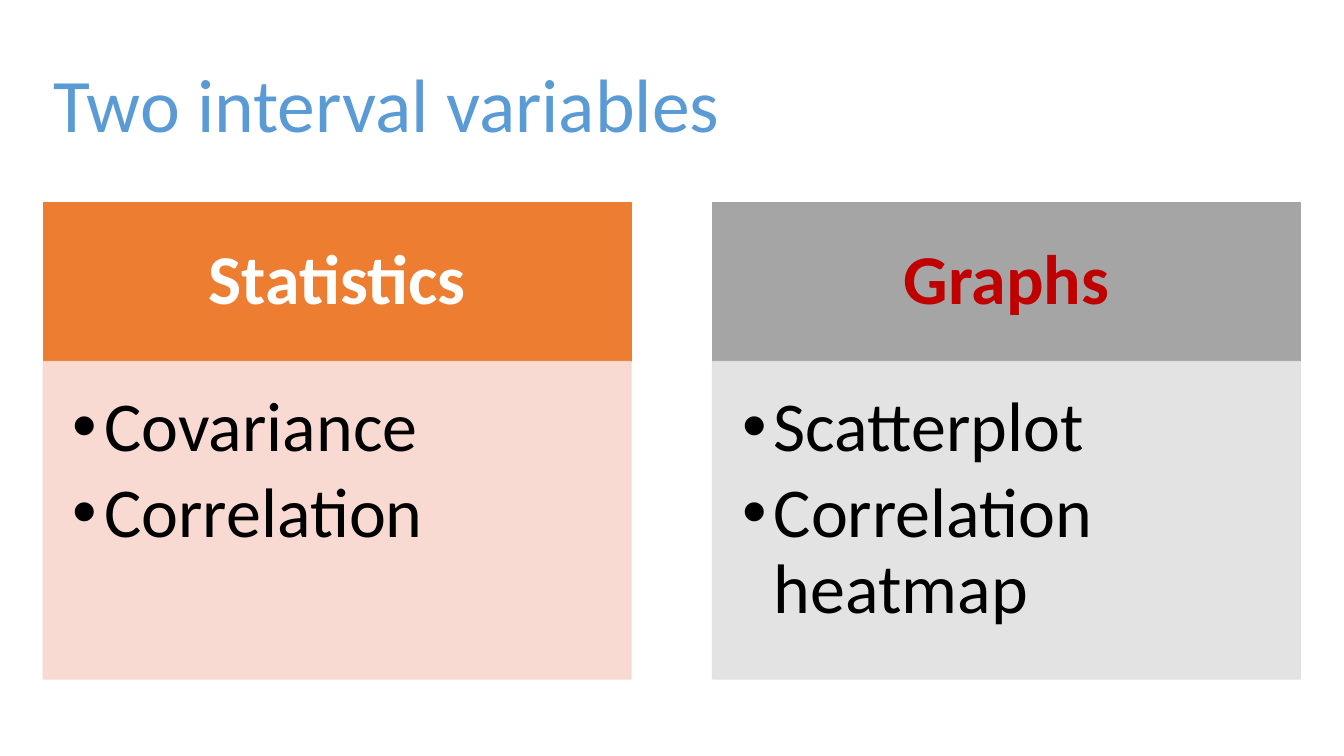
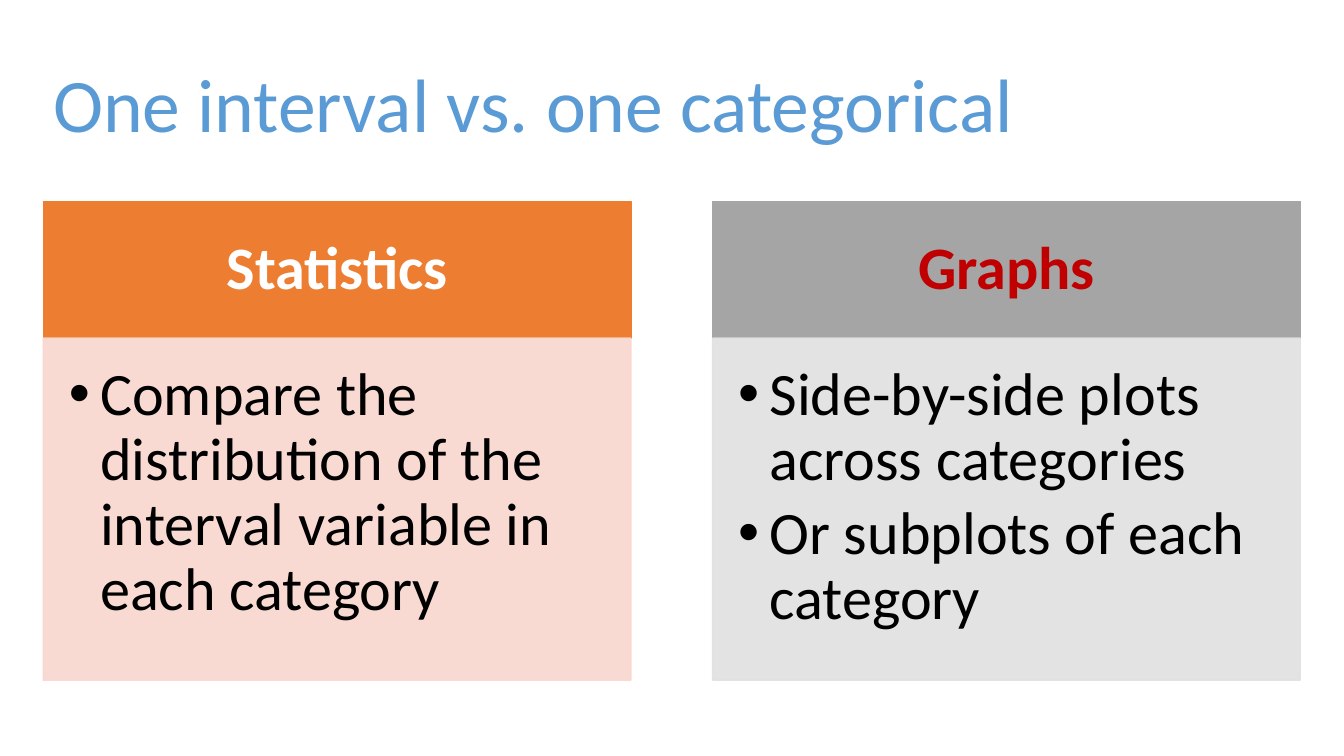
from lxml import etree
from pptx import Presentation
from pptx.dml.color import RGBColor
from pptx.enum.shapes import MSO_SHAPE
from pptx.enum.text import MSO_ANCHOR, PP_ALIGN
from pptx.oxml.ns import qn
from pptx.util import Cm, Pt

RECTANGLE = MSO_SHAPE.RECTANGLE
TOP, MIDDLE = MSO_ANCHOR.TOP, MSO_ANCHOR.MIDDLE
LEFT, CENTER = PP_ALIGN.LEFT, PP_ALIGN.CENTER

# Shared style
FONT = "Calibri"
COLORS = {
    "title": "5B9BD5",
    "statistics": "ED7D31",
    "statistics_tint": "F8D7CE",
    "statistics_text": "FFFFFF",
    "graphs": "A5A5A5",
    "graphs_tint": "E1E1E1",
    "graphs_text": "C00000",
    "body_text": "000000",
}
MARGIN, COLUMN_WIDTH, COLUMN_STEP = 1.09, 14.81, 16.87
BULLET_INDENT = Cm(0.79)
TINT_OPACITY = 90

# Slide content; heights are in centimetres, text size in points
SLIDES = [
    {
        "title": "Two interval variables",
        "size": 50, "top": 5.11, "heading_height": 4.0, "body_height": 8.0,
        "columns": {
            "statistics": ["Covariance", "Correlation"],
            "graphs": ["Scatterplot", "Correlation heatmap"],
        },
    },
    {
        "title": "One interval vs. one categorical",
        "size": 43, "top": 5.08, "heading_height": 3.44, "body_height": 8.62,
        "columns": {
            "statistics": ["Compare the distribution of the interval variable in each category"],
            "graphs": ["Side-by-side plots across categories", "Or subplots of each category"],
        },
    },
]


def write(shape, lines, size, color, anchor, align, bold=False, space=0.0):
    """Fill a shape with paragraphs; space after is a share of the text size."""
    frame = shape.text_frame
    frame.word_wrap = True
    frame.vertical_anchor = anchor
    frame.text = "\n".join(lines)
    for paragraph in frame.paragraphs:
        paragraph.alignment = align
        paragraph.line_spacing = 0.9
        paragraph.space_after = Pt(size * space)
        font = paragraph.runs[0].font
        font.name, font.size, font.bold = FONT, Pt(size), bold
        font.color.rgb = RGBColor.from_string(COLORS[color])
    return frame


def add_box(slide, left, top, height, color, insets, opacity=100):
    """Add a column-wide rectangle; insets are left, top, right, bottom."""
    box = slide.shapes.add_shape(RECTANGLE, Cm(left), Cm(top), Cm(COLUMN_WIDTH), Cm(height))
    box.shadow.inherit = False
    box.fill.solid()
    box.line.width = Pt(1)
    for paint in (box.fill.fore_color, box.line.color):
        paint.rgb = RGBColor.from_string(COLORS[color])
    if opacity < 100:
        for rgb in box.fill._xPr.iter(qn("a:srgbClr")):
            etree.SubElement(rgb, qn("a:alpha")).set("val", str(opacity * 1000))
    frame = box.text_frame
    frame.margin_left, frame.margin_top, frame.margin_right, frame.margin_bottom = map(Cm, insets)
    return box


deck = Presentation()
deck.slide_width, deck.slide_height = Cm(33.87), Cm(19.05)

for content in SLIDES:
    slide = deck.slides.add_slide(deck.slide_layouts[6])
    size = content["size"]

    # Title
    title = slide.shapes.add_textbox(Cm(MARGIN), Cm(0.89), Cm(31.7), Cm(3.68))
    write(title, [content["title"]], 54, "title", MIDDLE, LEFT)

    # Insets grow with the text size
    scale = size / 50
    heading_insets = [scale * inset for inset in (1, 0.56, 1, 0.56)]
    body_insets = [scale * inset for inset in (0.75, 0.75, 1, 1.12)]
    body_top = content["top"] + content["heading_height"]

    for index, (topic, points) in enumerate(content["columns"].items()):
        left = MARGIN + index * COLUMN_STEP

        # Column heading
        heading = add_box(slide, left, content["top"], content["heading_height"],
                          topic, heading_insets)
        write(heading, [topic.capitalize()], size, f"{topic}_text", MIDDLE, CENTER,
              bold=True, space=0.35)

        # Bulleted points
        body = add_box(slide, left, body_top, content["body_height"],
                       f"{topic}_tint", body_insets, TINT_OPACITY)
        frame = write(body, points, size, "body_text", TOP, LEFT, space=0.15)
        for paragraph in frame.paragraphs:
            properties = paragraph._p.get_or_add_pPr()
            properties.set("marL", str(BULLET_INDENT))
            properties.set("indent", str(-BULLET_INDENT))
            etree.SubElement(properties, qn("a:buFont")).set("typeface", "Arial")
            etree.SubElement(properties, qn("a:buChar")).set("char", "•")

deck.save("out.pptx")
